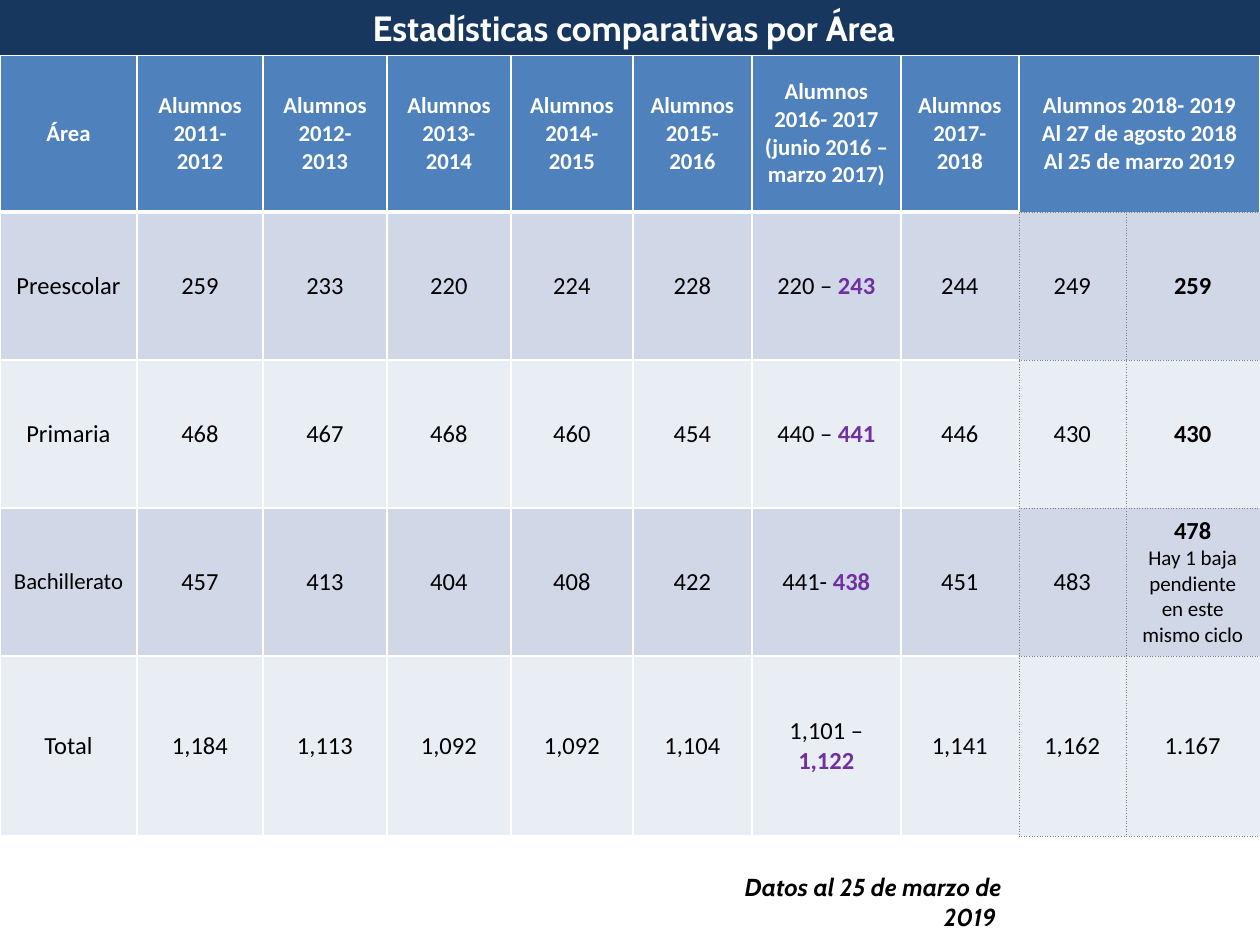
from lxml.etree import SubElement
from pptx import Presentation
from pptx.dml.color import RGBColor as Rgb
from pptx.enum.shapes import MSO_SHAPE as Shape
from pptx.enum.text import MSO_ANCHOR as Anchor, MSO_AUTO_SIZE as Fit, PP_ALIGN as Align
from pptx.oxml.ns import qn
from pptx.util import Emu, Pt

HUES = {
    "white": "FFFFFF", "black": "000000", "navy": "17375E", "blue": "4F81BD",
    "band": "D0D8E8", "pale": "E9EDF4", "purple": "7030A0", "gray": "808080",
}
COLS = [137, 126, 124, 124, 122, 119, 149, 118, 107, 134]
ROWS = [157, 148, 148, 148, 180]
HEADS = [
    ["Área"],
    ["Alumnos", "2011- 2012"],
    ["Alumnos", "2012- 2013"],
    ["Alumnos", "2013- 2014"],
    ["Alumnos", "2014-2015"],
    ["Alumnos", "2015-2016"],
    ["Alumnos", "2016- 2017", "(junio 2016 – marzo 2017)"],
    ["Alumnos 2017- 2018"],
    ["Alumnos 2018- 2019", "Al 27 de agosto 2018", "Al 25 de marzo 2019"],
]
AREAS = [
    ["Preescolar", "259", "233", "220", "224", "228", ("220 – ", "243"), "244", "249", "259"],
    ["Primaria", "468", "467", "468", "460", "454", ("440 – ", "441"), "446", "430", "430"],
    ["Bachillerato", "457", "413", "404", "408", "422", ("441- ", "438"), "451", "483", "478"],
    ["Total", "1,184", "1,113", "1,092", "1,092", "1,104", ("1,101 – ", "1,122"), "1,141", "1,162", "1.167"],
]
NOTE = "Hay 1 baja pendiente en este mismo ciclo"
SOLID = ("white", 1, "solid")
THICK = ("white", 3, "solid")
DOTS = ("gray", 0.25, "sysDot")


def px(num):
    """Turn pixels into EMU."""
    return Emu(round(num * 914400 / 126))


def hue(name):
    """Look up a colour."""
    return Rgb.from_string(HUES[name])


def write(frame, lines, align=Align.CENTER, face="Calibri", slant=False):
    """Fill a frame with lines of (text, size, colour, bold) runs."""
    for i, line in enumerate(lines):
        para = frame.add_paragraph() if i else frame.paragraphs[0]
        para.alignment = align
        for text, size, tint, bold in line:
            run = para.add_run()
            run.text = text
            font = run.font
            font.name, font.size, font.bold, font.italic = face, Pt(size), bold, slant
            font.color.rgb = hue(tint)


def edge(cell, sides):
    """Draw the left, right, top and bottom borders of a cell."""
    props = cell._tc.get_or_add_tcPr()
    for side, (tint, width, dash) in zip("LRTB", sides):
        line = SubElement(props, qn(f"a:ln{side}"), w=str(Pt(width)))
        fill = SubElement(line, qn("a:solidFill"))
        SubElement(fill, qn("a:srgbClr"), val=HUES[tint])
        SubElement(line, qn("a:prstDash"), val=dash)


def paint(cell, lines, fill, sides):
    """Style one cell and write its lines."""
    edge(cell, sides)
    cell.fill.solid()
    cell.fill.fore_color.rgb = hue(fill)
    cell.vertical_anchor = Anchor.MIDDLE
    write(cell.text_frame, lines)


def body(row, col, item):
    """Give the lines of a body cell."""
    if isinstance(item, tuple):
        old, new = item
        return [[(old, 14, "black", False), (new, 14, "purple", True)]]
    size = 13 if item == "Bachillerato" else 14
    lines = [[(item, size, "black", col == 9 and row < 4)]]
    if (row, col) == (3, 9):
        lines.append([(NOTE, 12, "black", False)])
    return lines


def grid(slide, left, top, wide, high):
    """Place the table of pupils by area and year."""
    frame = slide.shapes.add_table(len(ROWS), len(COLS), px(left), px(top), px(wide), px(high))
    table = frame.table
    table.first_row = table.horz_banding = False
    for col, width in zip(table.columns, COLS):
        col.width = px(width)
    for row, height in zip(table.rows, ROWS):
        row.height = px(height)
    table.cell(0, 8).merge(table.cell(0, 9))
    for c, head in enumerate(HEADS + [[]]):
        lines = [[(text, 13, "white", True)] for text in head]
        base = DOTS if c > 7 else THICK
        paint(table.cell(0, c), lines, "blue", [SOLID, SOLID, SOLID, base])
    for r, area in enumerate(AREAS, 1):
        for c, item in enumerate(area):
            sides = [DOTS] * 4 if c > 7 else [SOLID, SOLID, SOLID, SOLID]
            if c < 8 and r == 1:
                sides[2] = THICK
            if c == 7:
                sides[1] = DOTS
            paint(table.cell(r, c), body(r, c, item), "band" if r % 2 else "pale", sides)


def title(slide, left, top, wide, high):
    """Place the title bar."""
    bar = slide.shapes.add_shape(Shape.RECTANGLE, px(left), px(top), px(wide), px(high))
    bar.shadow.inherit = False
    bar.fill.solid()
    bar.fill.fore_color.rgb = hue("navy")
    bar.line.fill.background()
    frame = bar.text_frame
    frame.word_wrap = True
    frame.vertical_anchor = Anchor.TOP
    frame.auto_size = Fit.SHAPE_TO_FIT_TEXT
    write(frame, [[(" Estadísticas comparativas por Área", 20, "white", True)]], face="Cabin")


def date(slide, left, top, wide, high):
    """Place the date of the figures."""
    frame = slide.shapes.add_textbox(px(left), px(top), px(wide), px(high)).text_frame
    frame.word_wrap = True
    frame.auto_size = Fit.SHAPE_TO_FIT_TEXT
    line = [("Datos al 25 de marzo de 2019 ", 14, "black", True)]
    write(frame, [line], Align.RIGHT, "Cabin", True)


def main():
    """Build the slide and save it."""
    deck = Presentation()
    deck.slide_width, deck.slide_height = px(1260), px(945)
    slide = deck.slides.add_slide(deck.slide_layouts[6])
    grid(slide, 0, 55, sum(COLS), sum(ROWS))
    title(slide, 0, 0, 1260, 55)
    date(slide, 688, 866, 326, 43)
    deck.save("out.pptx")


if __name__ == "__main__":
    main()
